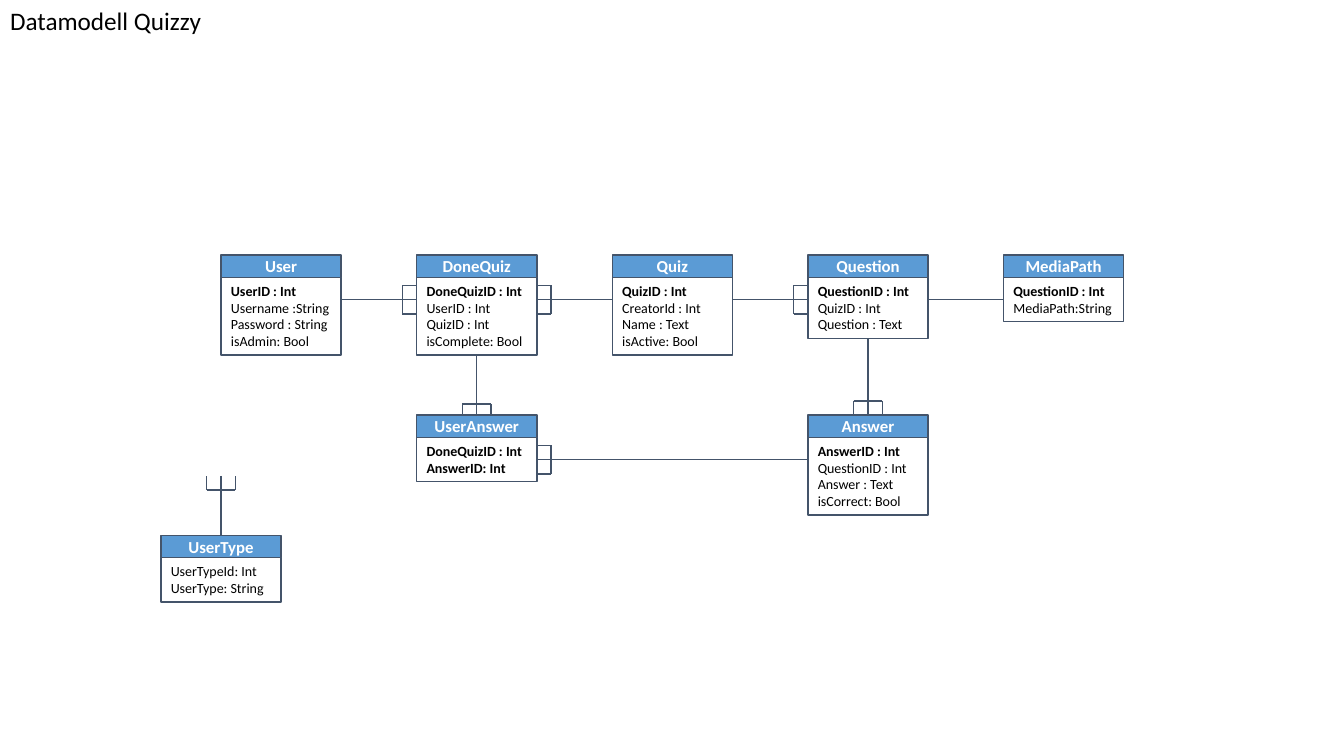
from dataclasses import dataclass

from lxml import etree
from pptx import Presentation
from pptx import util as u
from pptx.dml.color import RGBColor
from pptx.enum import shapes, text
from pptx.oxml.ns import qn


@dataclass
class Theme:
    font: str = "Calibri"
    blue: RGBColor = RGBColor(0x5B, 0x9B, 0xD5)
    slate: RGBColor = RGBColor(0x44, 0x54, 0x6A)
    black: RGBColor = RGBColor(0, 0, 0)
    white: RGBColor = RGBColor(255, 255, 255)
    title: u.Pt = u.Pt(18)
    head: u.Pt = u.Pt(12)
    body: u.Pt = u.Pt(10)
    line: u.Pt = u.Pt(1)


theme = Theme()
deck = Presentation()
deck.slide_width, deck.slide_height = u.Cm(33.87), u.Cm(19.05)
slide = deck.slides.add_slide(deck.slide_layouts[5])


def style(par, size, color, bold, align):
    par.alignment = align
    for run in par.runs:
        font = run.font
        font.name, font.size, font.bold = theme.font, size, bold
        font.color.rgb = color


def link(x1, y1, x2, y2):
    line = slide.shapes.add_connector(
        shapes.MSO_CONNECTOR.STRAIGHT, u.Cm(x1), u.Cm(y1), u.Cm(x2), u.Cm(y2))
    line.line.color.rgb = theme.slate
    line.line.width = theme.line
    etree.SubElement(line._element.spPr, qn("a:effectLst"))
    return line


# Title
title = slide.shapes.title
title.left, title.top, title.width, title.height = 0, 0, u.Cm(6.38), u.Cm(1.02)
title.text_frame.text = "Datamodell Quizzy"
title.text_frame.vertical_anchor = text.MSO_ANCHOR.TOP
style(title.text_frame.paragraphs[0], theme.title, theme.black, False,
      text.PP_ALIGN.LEFT)

# Grid in centimetres
WIDE, HEAD, ROW, PAD = 3.03, 0.56, 0.42, 0.28
cols = [5.57 + 4.93 * i for i in range(5)]
top, low, base = 6.43, 10.46, 13.49
kind = cols[0] - WIDE / 2

# Entities: name, left, top, number of key fields, fields
tables = [
    ("User", cols[0], top, 1,
     ["UserID : Int", "Username :String", "Password : String", "isAdmin: Bool"]),
    ("DoneQuiz", cols[1], top, 1,
     ["DoneQuizID : Int", "UserID : Int", "QuizID : Int", "isComplete: Bool"]),
    ("Quiz", cols[2], top, 1,
     ["QuizID : Int", "CreatorId : Int", "Name : Text", "isActive: Bool"]),
    ("Question", cols[3], top, 1,
     ["QuestionID : Int", "QuizID : Int", "Question : Text"]),
    ("MediaPath", cols[4], top, 1, ["QuestionID : Int", "MediaPath:String"]),
    ("UserAnswer", cols[1], low, 2, ["DoneQuizID : Int", "AnswerID: Int"]),
    ("Answer", cols[3], low, 1,
     ["AnswerID : Int", "QuestionID : Int", "Answer : Text", "isCorrect: Bool"]),
    ("UserType", kind, base, 0, ["UserTypeId: Int", "UserType: String"]),
]
heads, bodies = {}, {}
for name, x, y, keys, fields in tables:
    tall = PAD + ROW * len(fields)
    for part, y0, high in ((heads, y, HEAD), (bodies, y + HEAD, tall)):
        box = slide.shapes.add_shape(shapes.MSO_SHAPE.RECTANGLE, u.Cm(x),
                                     u.Cm(y0), u.Cm(WIDE), u.Cm(high))
        box.shadow.inherit = False
        box.line.color.rgb = theme.slate
        box.line.width = theme.line
        part[name] = box

    head = heads[name]
    head.fill.solid()
    head.fill.fore_color.rgb = theme.blue
    head.text_frame.text = name
    head.text_frame.vertical_anchor = text.MSO_ANCHOR.MIDDLE
    style(head.text_frame.paragraphs[0], theme.head, theme.white, True,
          text.PP_ALIGN.CENTER)

    body = bodies[name]
    body.fill.background()
    frame = body.text_frame
    frame.text = "\n".join(fields)
    frame.word_wrap = True
    frame.vertical_anchor = text.MSO_ANCHOR.TOP
    for i, par in enumerate(frame.paragraphs):
        style(par, theme.body, theme.black, i < keys, text.PP_ALIGN.LEFT)

# Relations along the upper row
mid = top + 2 * HEAD
for i in range(4):
    line = link(cols[i] + WIDE, mid, cols[i + 1], mid)
line.end_connect(bodies["MediaPath"], 1)

# Relations between the rows
for child, parent, x in (("UserAnswer", "DoneQuiz", cols[1]),
                         ("Answer", "Question", cols[3])):
    line = link(x + WIDE / 2, low, x + WIDE / 2, low - 1.5)
    line.begin_connect(heads[child], 0)
    line.end_connect(bodies[parent], 2)

# Relation along the lower row
mid2 = low + 2 * HEAD
line = link(cols[1] + WIDE, mid2, cols[3], mid2)
line.begin_connect(bodies["UserAnswer"], 3)

# Loose relation above UserType
tip = 11.99
line = link(cols[0], tip, cols[0], base)
line.end_connect(heads["UserType"], 0)

# Forks on the "many" side: edge point, then depth across or down
HALF = 0.36
forks = [
    (cols[1], mid, -0.36, 0),
    (cols[1] + WIDE, mid, 0.36, 0),
    (cols[3], mid, -0.36, 0),
    (cols[1] + WIDE, mid2, 0.36, 0),
    (cols[1] + WIDE / 2, low, 0, -0.28),
    (cols[3] + WIDE / 2, low, 0, -0.36),
    (cols[0], tip, 0, 0.36),
]
for x, y, dx, dy in forks:
    px, py = (0, HALF) if dx else (HALF, 0)
    link(x + dx - px, y + dy - py, x + dx + px, y + dy + py)
    for side in (-1, 1):
        ex, ey = x + side * px, y + side * py
        link(ex + dx, ey + dy, ex, ey)

deck.save("out.pptx")
